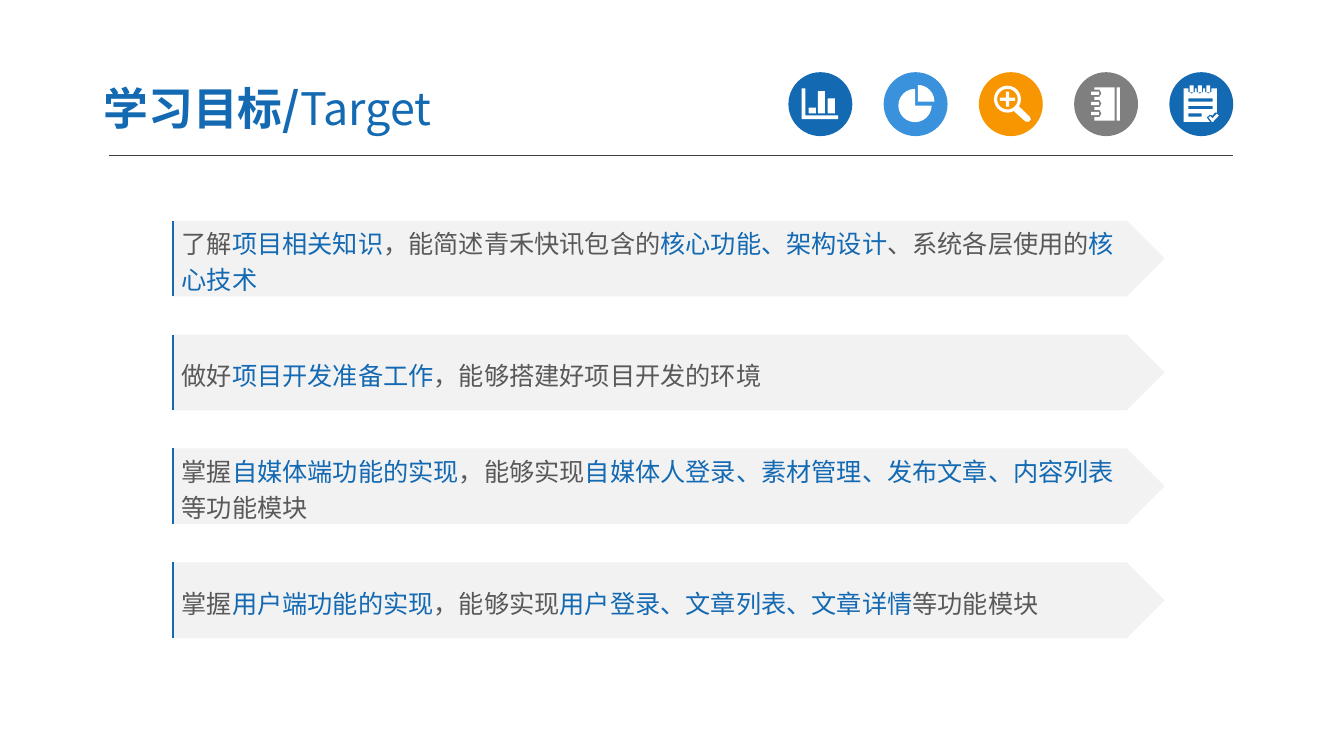
import math
from lxml import etree
from pptx import Presentation
from pptx import util as u
from pptx.dml.color import RGBColor
from pptx.enum import shapes, text
from pptx.oxml.ns import qn

FONT = "Noto Sans CJK SC"
BLUE, SKY, ORANGE, GREY = "1369B2", "3992DB", "F79600", "7F7F7F"
WHITE, PANEL, BODY, RULE = "FFFFFF", "F2F2F2", "595959", "404040"
Shape = shapes.MSO_SHAPE

presentation = Presentation()
presentation.slide_width, presentation.slide_height = u.Cm(33.87), u.Cm(19.05)
slide = presentation.slides.add_slide(presentation.slide_layouts[5])


def paint(shape, color):
    """Give a shape a plain fill without outline or shadow."""
    shape.fill.solid()
    shape.fill.fore_color.rgb = RGBColor.from_string(color)
    shape.line.fill.background()
    shape.shadow.inherit = False


def arc(center_x, center_y, radius, start, end):
    """Points along an arc, in steps of 15 degrees."""
    return [(center_x + radius * math.cos(math.radians(angle)),
             center_y + radius * math.sin(math.radians(angle)))
            for angle in range(start, end + 1, 15)]


# Title
title = slide.shapes.title
title.left, title.top, title.width, title.height = u.Cm(2.28), u.Cm(1.8), u.Cm(13.26), u.Cm(1.83)
frame = title.text_frame
frame.auto_size = text.MSO_AUTO_SIZE.NONE
frame.margin_left = frame.margin_right = u.Cm(0.33)
frame.margin_top = frame.margin_bottom = u.Cm(0.18)
texts = [(title, 32, [("学习目标/", BLUE, True), ("Target", BLUE, False)])]

# Rule under the title
rule = slide.shapes.add_connector(
    shapes.MSO_CONNECTOR.STRAIGHT, u.Cm(2.75), u.Cm(3.93), u.Cm(31.07), u.Cm(3.93))
rule.line.color.rgb = RGBColor.from_string(RULE)
rule.line.width = u.Pt(0.75)
etree.SubElement(rule._element.spPr, qn("a:effectLst"))

# Icon outlines within the disc: boxes (x, y, width, height) or lists of points
bar_chart = [
    [(0.33, 0.41), (0.43, 0.41), (0.43, 1.09), (1.25, 1.09), (1.25, 1.18), (0.33, 1.18)],
    (0.51, 0.89, 0.18, 0.15), (0.74, 0.48, 0.18, 0.56), (0.99, 0.66, 0.18, 0.38),
]
pie_chart = [
    [(0.79, 0.84)] + arc(0.79, 0.84, 0.42, 0, 270),
    [(0.86, 0.74)] + arc(0.86, 0.74, 0.42, 270, 360),
]
magnifier = [
    arc(0.72, 0.68, 0.34, 0, 345),
    arc(0.72, 0.68, 0.26, 0, 345),
    [(1.01, 0.86), (1.28, 1.12), (1.31, 1.19), (1.25, 1.25), (1.17, 1.24), (0.89, 0.99)],
    [(0.68, 0.49), (0.76, 0.49), (0.76, 0.64), (0.91, 0.64), (0.91, 0.72), (0.76, 0.72),
     (0.76, 0.87), (0.68, 0.87), (0.68, 0.72), (0.53, 0.72), (0.53, 0.64), (0.68, 0.64)],
]
cover = [(0.51, 0.38), (1.02, 0.38), (1.02, 1.22), (0.51, 1.22)]
notebook = [cover, (1.07, 0.38, 0.08, 0.84)]
for ring_y in (1.04, 0.79, 0.53):
    cover += [(0.51, ring_y + 0.09), (0.64, ring_y + 0.09), (0.69, ring_y),
              (0.64, ring_y - 0.09), (0.51, ring_y - 0.09)]
    notebook.append((0.43, ring_y - 0.04, 0.2, 0.08))
page = [(1.2, 0.41), (1.2, 1.02), (1.14, 1.02), (1.09, 1.09), (1.02, 1.07),
        (0.94, 1.14), (1.02, 1.25), (0.36, 1.25), (0.36, 0.41)]
tick = [(0.99, 1.14), (1.03, 1.11), (1.09, 1.16), (1.19, 1.05), (1.25, 1.09),
        (1.1, 1.25), (1.07, 1.25)]
checklist = [page, tick, (0.48, 0.66, 0.61, 0.08), (0.48, 0.85, 0.61, 0.08),
             (0.48, 1.04, 0.33, 0.08)]
for pin_x in (0.56, 0.77, 0.98):
    page += [(pin_x - 0.08, 0.41), (pin_x - 0.08, 0.5), (pin_x, 0.54),
             (pin_x + 0.08, 0.5), (pin_x + 0.08, 0.41)]
    checklist.append((pin_x - 0.05, 0.33, 0.1, 0.18))

# Icons: a disc with one white outline each
icons = [(BLUE, bar_chart), (SKY, pie_chart), (ORANGE, magnifier),
         (GREY, notebook), (BLUE, checklist)]
for index, (color, outlines) in enumerate(icons):
    disc_x, disc_y = 19.87 + 2.4 * index, 1.82
    disc = slide.shapes.add_shape(
        Shape.OVAL, u.Cm(disc_x), u.Cm(disc_y), u.Cm(1.61), u.Cm(1.61))
    paint(disc, color)
    builder = None
    for outline in outlines:
        if isinstance(outline, tuple):
            x, y, width, height = outline
            outline = [(x, y), (x + width, y), (x + width, y + height), (x, y + height)]
        points = [(u.Cm(disc_x + x), u.Cm(disc_y + y)) for x, y in outline]
        if builder is None:
            builder = slide.shapes.build_freeform(*points[0])
        else:
            builder.move_to(*points[0])
        builder.add_line_segments(points[1:], close=True)
    paint(builder.convert_to_shape(), WHITE)

# Goals: plain and highlighted words take turns
goals = [
    ["了解", "项目相关知识", "，能简述青禾快讯包含的", "核心功能、架构设计",
     "、系统各层使用的", "核心技术"],
    ["做好", "项目开发准备工作", "，能够搭建好项目开发的环境"],
    ["掌握", "自媒体端功能的实现", "，能够实现",
     "自媒体人登录、素材管理、发布文章、内容列表", "等功能模块"],
    ["掌握", "用户端功能的实现", "，能够实现", "用户登录、文章列表、文章详情", "等功能模块"],
]
for row, phrases in enumerate(goals):
    top = 5.56 + 2.87 * row
    arrow = slide.shapes.add_shape(
        Shape.PENTAGON, u.Cm(4.33), u.Cm(top), u.Cm(25.02), u.Cm(1.91))
    paint(arrow, PANEL)
    arrow.text_frame.word_wrap = True
    arrow.text_frame.paragraphs[0].line_spacing = 1.2
    texts.append((arrow, 18, [(phrase, BLUE if index % 2 else BODY, False)
                              for index, phrase in enumerate(phrases)]))

    # Left edge: an open outline whose frame is a little wider than the line
    builder = slide.shapes.build_freeform(u.Cm(4.35), u.Cm(top + 1.91))
    builder.add_line_segments([(u.Cm(4.35), u.Cm(top))], close=False)
    builder.move_to(u.Cm(4.73), u.Cm(top))
    edge = builder.convert_to_shape()
    edge.fill.background()
    edge.line.color.rgb = RGBColor.from_string(BLUE)
    edge.line.width = u.Pt(1.5)
    edge.shadow.inherit = False

# Wording of the title and the goals
for shape, size, runs in texts:
    shape.text_frame.vertical_anchor = text.MSO_ANCHOR.MIDDLE
    paragraph = shape.text_frame.paragraphs[0]
    paragraph.alignment = text.PP_ALIGN.LEFT
    for words, color, bold in runs:
        run = paragraph.add_run()
        run.text = words
        run.font.name, run.font.size, run.font.bold = FONT, u.Pt(size), bold
        run.font.color.rgb = RGBColor.from_string(color)
        etree.SubElement(run.font._element, qn("a:ea")).set("typeface", FONT)

presentation.save("out.pptx")
